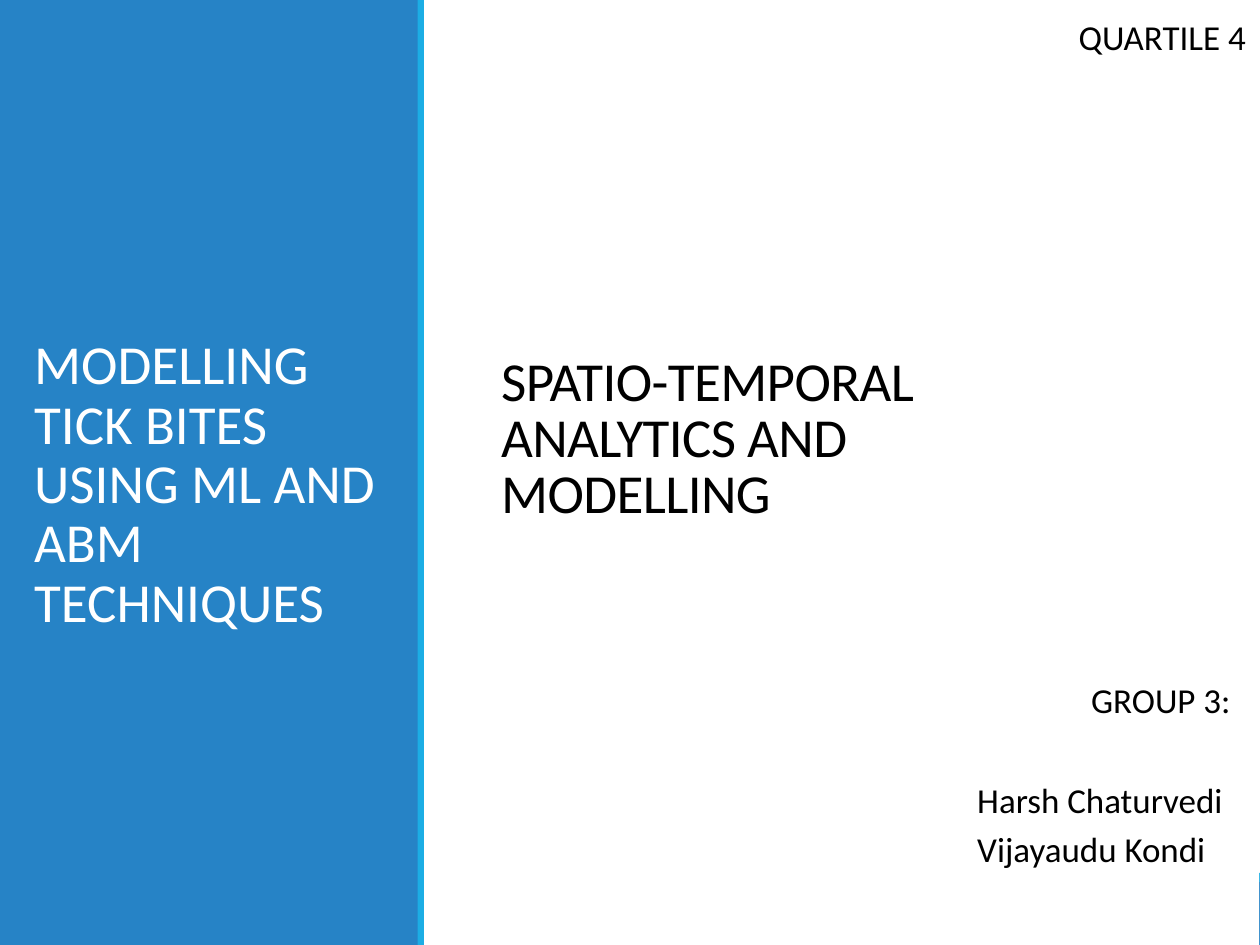
"""Build the title slide of a group project on modelling tick bites."""
from pptx import Presentation
from pptx.dml.color import RGBColor
from pptx.enum.shapes import MSO_SHAPE as Shape
from pptx.enum.text import MSO_ANCHOR as Anchor, PP_ALIGN as Align
from pptx.util import Inches, Pt

BLUE = RGBColor(0x26, 0x83, 0xC6)
CYAN = RGBColor(0x1C, 0xAD, 0xE4)
WHITE = RGBColor(0xFF, 0xFF, 0xFF)
BLACK = RGBColor(0x00, 0x00, 0x00)
FONT = "Calibri"
TITLE_SIZE = 44
BODY_SIZE = 28
SLIDE_WIDTH = 14
SLIDE_HEIGHT = 10.5


def add_panel(slide, left, top, width, height, color):
    shape = slide.shapes.add_shape(
        Shape.RECTANGLE, Inches(left), Inches(top), Inches(width), Inches(height))
    shape.shadow.inherit = False
    shape.fill.solid()
    shape.fill.fore_color.rgb = color
    shape.line.fill.background()


def add_text_frame(slide, left, top, width, height, anchor=Anchor.TOP):
    box = slide.shapes.add_textbox(
        Inches(left), Inches(top), Inches(width), Inches(height))
    frame = box.text_frame
    frame.word_wrap = True
    frame.vertical_anchor = anchor
    return frame


def write_paragraph(paragraph, text, size, color=BLACK, align=Align.LEFT,
                    line_spacing=1.0, space_after=6):
    paragraph.alignment = align
    paragraph.line_spacing = line_spacing
    paragraph.space_after = Pt(space_after)
    run = paragraph.add_run()
    run.text = text
    run.font.name = FONT
    run.font.size = Pt(size)
    run.font.color.rgb = color
    return run


def add_panels(slide):
    add_panel(slide, 0, 9.8, SLIDE_WIDTH, 0.7, BLUE)
    add_panel(slide, 0, 9.7, SLIDE_WIDTH, 0.1, CYAN)
    add_panel(slide, 0, 0, 13.99, SLIDE_HEIGHT, WHITE)
    add_panel(slide, 0, 0, 4.65, SLIDE_HEIGHT, BLUE)
    add_panel(slide, 4.64, 0, 0.07, SLIDE_HEIGHT, CYAN)


def add_titles(slide):
    course = add_text_frame(slide, 5.47, 0.58, 7.16, 8.64, Anchor.MIDDLE)
    run = write_paragraph(course.paragraphs[0], "SPATIO-TEMPORAL ANALYTICS AND MODELLING",
                          TITLE_SIZE, line_spacing=0.85)
    run.font._element.set("spc", "-50")

    project = add_text_frame(slide, 0.38, 0.7, 3.88, 8.64, Anchor.MIDDLE)
    project.margin_left = project.margin_right = 0
    project.margin_top = Inches(0.8)
    write_paragraph(project.paragraphs[0], "MODELLING TICK BITES USING ML AND ABM TECHNIQUES",
                    TITLE_SIZE, WHITE, line_spacing=0.9)


def add_group(slide):
    group = add_text_frame(slide, 10.76, 7.49, 3.01, 2.24)
    write_paragraph(group.paragraphs[0], "GROUP 3:", BODY_SIZE,
                    align=Align.RIGHT, space_after=46)
    for member in ("Harsh Chaturvedi", "Vijayaudu Kondi"):
        write_paragraph(group.add_paragraph(), member, BODY_SIZE)

    quartile = add_text_frame(slide, 10.93, 0.12, 3.01, 0.57)
    write_paragraph(quartile.paragraphs[0], "QUARTILE 4", BODY_SIZE, align=Align.RIGHT)


def main():
    presentation = Presentation()
    presentation.slide_width = Inches(SLIDE_WIDTH)
    presentation.slide_height = Inches(SLIDE_HEIGHT)
    slide = presentation.slides.add_slide(presentation.slide_layouts[6])
    add_panels(slide)
    add_titles(slide)
    add_group(slide)
    presentation.save("out.pptx")


if __name__ == "__main__":
    main()
